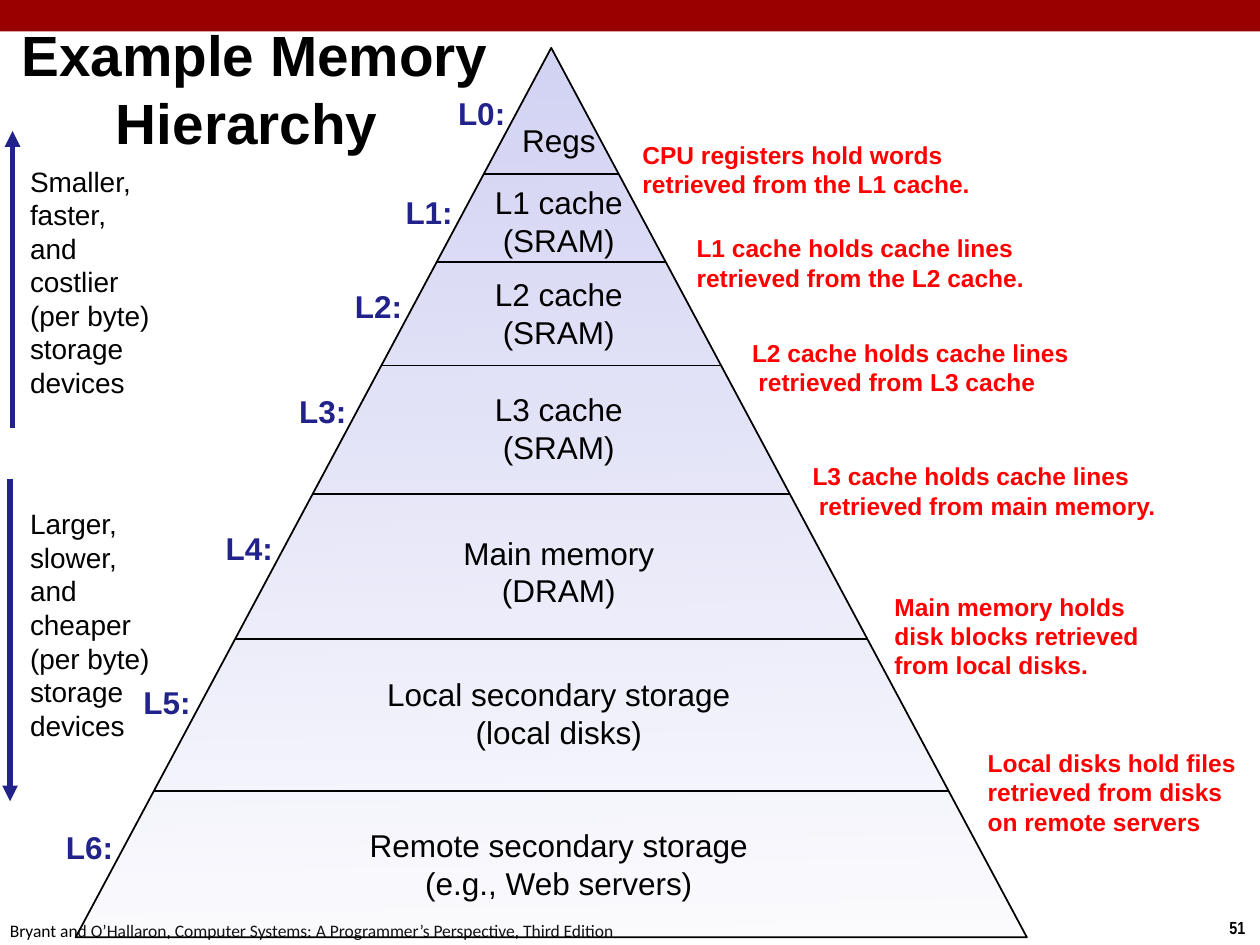
from lxml import etree
from pptx import Presentation, util as u
from pptx.dml.color import RGBColor
from pptx.enum import shapes, text
from pptx.oxml import ns

COLORS = {"bar": "990000", "ink": "000000", "navy": "22228B",
          "note": "FF0000", "tier": "D2D2F4"}
COLS, ROWS = 100, 75
LEFT, CENTER = text.PP_ALIGN.LEFT, text.PP_ALIGN.CENTER

APEX_X, APEX_Y, BASE_W, HEIGHT = 43.75, 3.8, 75.5, 70.6
TIER_TEXT_X = 44.35
LABEL_W, LABEL_H = 5.8, 4

# lines, text width, text middle, label middle, lower boundary
TIERS = [
    (["Regs"], 7.9, 11.1, 9, 13.8),
    (["L1 cache", "(SRAM)"], 12.3, 17.55, 16.8, 20.8),
    (["L2 cache", "(SRAM)"], 12.3, 24.85, 24.3, 29),
    (["L3 cache", "(SRAM)"], 12.3, 33.95, 32.6, 39.2),
    (["Main memory", "(DRAM)"], 17.3, 45.35, 43.5, 50.7),
    (["Local secondary storage", "(local disks)"], 29.5, 56.55, 55.7, 62.8),
    (["Remote secondary storage", "(e.g., Web servers)"], 32.3, 68.55, 67.2, None),
]

# lines, left, top, width, height, indent of the second line
NOTES = [
    (["CPU registers hold words retrieved from the L1 cache."], 50, 10.6, 31.9, 5.7, 0),
    (["L1 cache holds cache lines retrieved from the L2 cache."], 54.3, 18, 31, 5.7, 0),
    (["L2 cache holds cache lines", "retrieved from L3 cache"], 58.7, 26.3, 28.8, 5.7, 0.5),
    (["L3 cache holds cache lines", "retrieved from main memory."], 63.5, 36.1, 31.5, 5.7, 0.5),
    (["Main memory holds disk blocks retrieved from local disks."], 70, 46.4, 23.9, 8.1, 0),
    (["Local disks hold files retrieved from disks", "on remote servers"],
     77.4, 58.8, 22.6, 8.1, 0),
]

# lines, text top, arrow x, arrow start, arrow end
TRENDS = [
    (["Smaller,", "faster,", "and", "costlier", "(per byte)", "storage", "devices"],
     12.4, 1, 34, 10.4),
    (["Larger,", "slower,", "and", "cheaper", "(per byte)", "storage", "devices"],
     39.6, 0.8, 38, 63.6),
]


def rgb(name):
    return RGBColor.from_string(COLORS[name])


def half_width(y):
    """Half the pyramid's width at row y."""
    return (y - APEX_Y) / HEIGHT * BASE_W / 2


class Deck:
    """Holds the presentation, its current slide and its style, on a 100 by 75 grid."""

    font = "Arial"

    def __init__(self):
        self.prs = Presentation()
        self.prs.slide_width, self.prs.slide_height = u.Inches(10), u.Inches(7.5)
        self.s = self.prs.slides.add_slide(self.prs.slide_layouts[5])

    def x(self, cols):
        return round(self.prs.slide_width * cols / COLS)

    def y(self, rows):
        return round(self.prs.slide_height * rows / ROWS)

    def box(self, left, top, width, height):
        return self.x(left), self.y(top), self.x(width), self.y(height)

    def set_text(self, sp, lines, size=18, color="ink", bold=False, align=LEFT,
                 font=None, wrap=False, indent=0, anchor=text.MSO_ANCHOR.MIDDLE):
        """Fill a shape with paragraphs; indent shifts all but the first."""
        tf = sp.text_frame
        tf.auto_size = text.MSO_AUTO_SIZE.NONE
        tf.word_wrap = wrap
        tf.vertical_anchor = anchor
        for i, line in enumerate(lines):
            p = tf.add_paragraph() if i else tf.paragraphs[0]
            p.alignment = align
            p.space_before = u.Pt(0)
            if i and indent:
                p._p.get_or_add_pPr().set("marL", str(self.x(indent)))
            r = p.add_run()
            r.text = line
            f = r.font
            f.name, f.size, f.bold = font or self.font, u.Pt(size), bold
            f.color.rgb = rgb(color)

    def title(self, lines, at, **style):
        sp = self.s.shapes.title
        sp.left, sp.top, sp.width, sp.height = self.box(*at)
        self.set_text(sp, lines, **style)

    def text(self, lines, at, **style):
        self.set_text(self.s.shapes.add_textbox(*self.box(*at)), lines, **style)

    def bar(self, at, color):
        sp = self.s.shapes.add_shape(shapes.MSO_SHAPE.RECTANGLE, *self.box(*at))
        sp.shadow.inherit = False
        sp.fill.solid()
        sp.fill.fore_color.rgb = rgb(color)
        sp.line.fill.background()

    def pyramid(self, at, color):
        """Triangle that fades from opaque at its apex to nearly clear at its base."""
        sp = self.s.shapes.add_shape(shapes.MSO_SHAPE.ISOSCELES_TRIANGLE, *self.box(*at))
        sp.shadow.inherit = False
        sp.fill.gradient()
        sp.fill.gradient_angle = 91
        for stop in sp.fill.gradient_stops:
            stop.color.rgb = rgb(color)
        base = sp._element.spPr.find(".//" + ns.qn("a:srgbClr"))
        etree.SubElement(base, ns.qn("a:alpha"), val="7000")
        sp.line.color.rgb = rgb("ink")
        sp.line.width = u.Pt(1)

    def line(self, x1, y1, x2, y2, color="ink", width=1, arrow=False):
        c = self.s.shapes.add_connector(shapes.MSO_CONNECTOR.STRAIGHT,
                                        self.x(x1), self.y(y1), self.x(x2), self.y(y2))
        c.line.color.rgb = rgb(color)
        c.line.width = u.Pt(width)
        if arrow:
            ln = c._element.spPr.find(ns.qn("a:ln"))
            etree.SubElement(ln, ns.qn("a:tailEnd"), type="triangle")
        etree.SubElement(c._element.spPr, ns.qn("a:effectLst"))


def main():
    deck = Deck()
    deck.bar((0, 0, COLS, 2.5), "bar")
    deck.text(["51"], (96.6, 72.3, 3.4, 2.7), size=10, font="Arial Narrow", bold=True)
    deck.text(["Bryant and O’Hallaron, Computer Systems: A Programmer’s Perspective, "
               "Third Edition"], (-0.2, 72.5, 50.8, 2.7), size=10, font="Calibri")
    deck.title(["Example Memory", "Hierarchy"], (0.7, 2.7, 95.3, 8.6),
               size=32.4, bold=True, wrap=True, indent=7.5)

    deck.pyramid((APEX_X - BASE_W / 2, APEX_Y, BASE_W, HEIGHT), "tier")
    for i, (lines, width, middle, label_y, bottom) in enumerate(TIERS):
        height = 0.9 + 3.1 * len(lines)
        deck.text(lines, (TIER_TEXT_X - width / 2, middle - height / 2, width, height),
                  align=CENTER)
        label_right = APEX_X - half_width(label_y) + 0.2
        deck.text([f"L{i}:"], (label_right - LABEL_W, label_y - LABEL_H / 2,
                               LABEL_W, LABEL_H), color="navy", bold=True)
        if bottom:
            half = half_width(bottom)
            deck.line(APEX_X - half, bottom, APEX_X + half, bottom)

    for lines, left, top, width, height, indent in NOTES:
        deck.text(lines, (left, top, width, height), size=14, color="note",
                  bold=True, wrap=True, indent=indent)

    for lines, top, arrow_x, start, end in TRENDS:
        deck.text(lines, (1.4, top, 11.6, 19.9), size=16)
        deck.line(arrow_x, start, arrow_x, end, color="navy", width=3, arrow=True)

    deck.prs.save("out.pptx")


if __name__ == "__main__":
    main()
